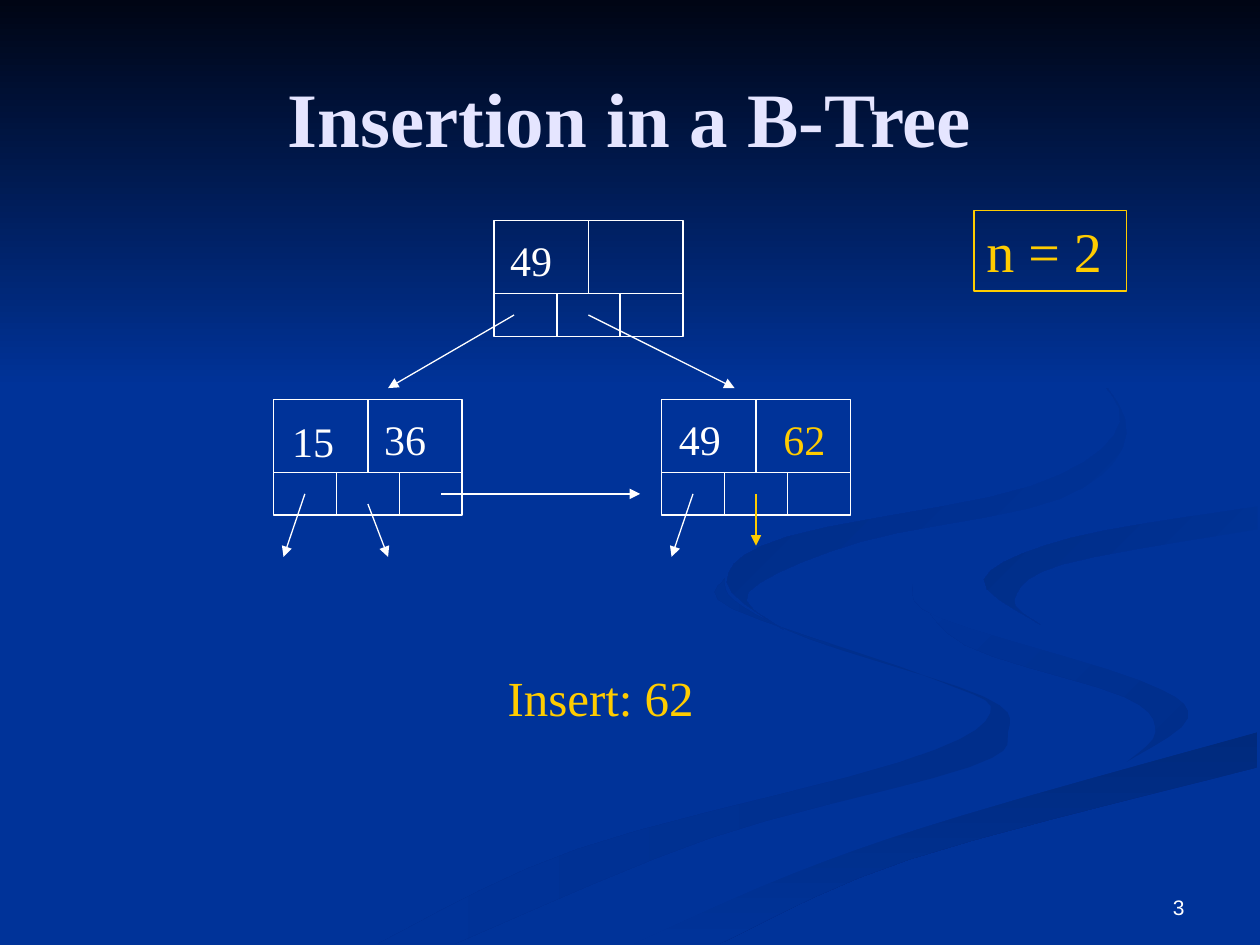
from itertools import pairwise
from lxml.etree import SubElement
from pptx import Presentation
from pptx.dml.color import RGBColor
from pptx.enum.shapes import MSO_CONNECTOR, MSO_SHAPE
from pptx.enum.text import MSO_ANCHOR, PP_ALIGN
from pptx.oxml.ns import qn
from pptx.util import Inches, Pt

COLORS = {
    "blue": "003399", "navy": "000514", "white": "FFFFFF", "gold": "FFCC00", "lavender": "E5E5FF",
    "swirl": "002E8B", "band": "002A7D", "hook": "002D86", "ribbon": "002B82",
}
STEPS = 5

STREAM_OUTER = [(5.75, 4.59), (5.83, 4.77), (6.42, 5.07), (7.81, 5.53), (8, 5.81),
                (7.69, 6.09), (5.64, 6.65), (3.61, 7.49)]
STREAM_INNER = [(3, 7.49), (4.58, 6.74), (7.14, 6.05), (7.86, 5.66), (7.41, 5.39),
                (5.81, 4.83), (5.75, 4.59)]
TURN_OUTER = [(7.24, 4.64), (7.45, 4.9), (9.05, 5.4), (9.43, 5.7), (8.94, 6.05)]
TURN_INNER = [(8.94, 6.05), (9.17, 5.81), (8.92, 5.53), (7.66, 5.12), (7.24, 4.64)]
BAND_TOP = [(9.98, 5.81), (7.64, 6.47), (6.3, 6.93), (5.03, 7.49)]
BAND_BOTTOM = [(5.71, 7.49), (7.22, 6.82), (9.98, 6.09)]
HOOK_OUTER = [(9.98, 4.02), (8.5, 4.27), (7.81, 4.6), (8.26, 4.96)]
HOOK_INNER = [(8.26, 4.96), (8.05, 4.76), (8.43, 4.48), (9.98, 4.2)]
RIBBON_OUTER = [(7.62, 2.33), (8.54, 2.83), (8.94, 3.44), (8.41, 3.96), (6.83, 4.3),
                (5.94, 4.7), (6.22, 5)]
RIBBON_INNER = [(6.22, 5), (5.77, 4.62), (6.25, 4.26), (8.18, 3.86), (8.89, 3.35),
                (8.46, 2.79), (7.62, 2.33)]
FLOW_LEFT = [(8.94, 6.05), (7.04, 6.55), (4.77, 7.49)]
FLOW_RIGHT = [(9.98, 5.38), (9.04, 5.19), (8.26, 4.96)]
FLOW_TOP = [(9.98, 3.87), (7.88, 4.22), (7.24, 4.64)]

SWIRLS = [
    ([STREAM_OUTER, STREAM_INNER], "swirl", "blue", 180),
    ([TURN_OUTER, TURN_INNER], "swirl", "blue", 135),
    ([BAND_TOP, BAND_BOTTOM], "band", "blue", 270),
    ([TURN_OUTER, FLOW_LEFT, BAND_TOP[::-1], FLOW_RIGHT, HOOK_OUTER[::-1], FLOW_TOP], "blue", "blue", 0),
    ([HOOK_OUTER, HOOK_INNER], "blue", "hook", 135),
    ([RIBBON_OUTER, RIBBON_INNER], "blue", "ribbon", 135),
    ([[(0, 0), (10, 0)], [(10, 3.08), (0, 3.08)]], "navy", "blue", 270),
]


def rgb(name):
    return RGBColor.from_string(COLORS[name])


def smooth(edge):
    padded = [edge[0], *edge, edge[-1]]
    curve = []
    for i, (start, end) in enumerate(pairwise(edge)):
        before, after = padded[i], padded[i + 3]
        for step in range(STEPS):
            t = step / STEPS
            curve.append(tuple(
                b + t * (c - a + t * (2 * a - 5 * b + 4 * c - d + t * (3 * (b - c) + d - a))) / 2
                if step else b
                for a, b, c, d in zip(before, start, end, after)))
    return curve + [edge[-1]]


class Painter:
    def __init__(self, slide, font="Times New Roman"):
        self.s = slide
        self.font = font

    def background(self, color):
        fill = self.s.background.fill
        fill.solid()
        fill.fore_color.rgb = rgb(color)

    def swirl(self, edges, start, end, angle):
        pts = [(Inches(x), Inches(y)) for edge in edges for x, y in smooth(edge)]
        fb = self.s.shapes.build_freeform(*pts[0])
        fb.add_line_segments(pts[1:], close=True)
        sp = fb.convert_to_shape()
        sp.shadow.inherit = False
        sp.line.fill.background()
        if start == end:
            sp.fill.solid()
            sp.fill.fore_color.rgb = rgb(start)
            return
        sp.fill.gradient()
        sp.fill.gradient_angle = angle
        for stop, color in zip(sp.fill.gradient_stops, (start, end)):
            stop.color.rgb = rgb(color)

    def text(self, text, x, y, w, h, size, color="white", font=None, bold=False, wrap=False,
             align=PP_ALIGN.LEFT, anchor=MSO_ANCHOR.TOP):
        sp = self.s.shapes.add_textbox(Inches(x), Inches(y), Inches(w), Inches(h))
        tf = sp.text_frame
        tf.word_wrap = wrap
        tf.vertical_anchor = anchor
        tf.text = text
        p = tf.paragraphs[0]
        p.alignment = align
        r = p.runs[0]
        r.font.name = font or self.font
        r.font.size = Pt(size)
        r.font.bold = bold
        r.font.color.rgb = rgb(color)
        return sp

    def line(self, x1, y1, x2, y2, color="white", arrow=False, shapes=None):
        shapes = shapes or self.s.shapes
        cn = shapes.add_connector(MSO_CONNECTOR.STRAIGHT, Inches(x1), Inches(y1), Inches(x2), Inches(y2))
        cn.line.color.rgb = rgb(color)
        cn.line.width = Pt(0.75)
        if arrow:
            SubElement(cn.line._get_or_add_ln(), qn("a:tailEnd"), type="triangle")
        SubElement(cn._element.spPr, qn("a:effectLst"))

    def node(self, x, y, w=1.5, h=0.92, key_h=0.58):
        shapes = self.s.shapes.add_group_shape().shapes
        sp = shapes.add_shape(MSO_SHAPE.RECTANGLE, Inches(x), Inches(y), Inches(w), Inches(h))
        sp.shadow.inherit = False
        sp.fill.background()
        sp.line.color.rgb = rgb("white")
        sp.line.width = Pt(1)
        mid = y + key_h
        self.line(x, mid, x + w, mid, shapes=shapes)
        self.line(x + w / 2, y, x + w / 2, mid, shapes=shapes)
        for i in (1, 2):
            self.line(x + i * w / 3, mid, x + i * w / 3, y + h, shapes=shapes)


def main():
    prs = Presentation()
    prs.slide_width, prs.slide_height = Inches(10), Inches(7.5)
    d = Painter(prs.slides.add_slide(prs.slide_layouts[6]))
    d.background("blue")
    for swirl in SWIRLS:
        d.swirl(*swirl)

    d.text("3", 7.17, 6.83, 2.33, 0.52, 12, font="Arial", wrap=True,
           align=PP_ALIGN.RIGHT, anchor=MSO_ANCHOR.BOTTOM)
    d.text("Insertion in a B-Tree", 0.5, 0.3, 9, 1.25, 44, "lavender", bold=True, wrap=True,
           align=PP_ALIGN.CENTER, anchor=MSO_ANCHOR.MIDDLE)

    for x, y in [(3.92, 1.75), (2.17, 3.17), (5.25, 3.17)]:
        d.node(x, y)
    for key, x, y, color in [("49", 3.95, 1.81, "white"), ("15", 2.22, 3.25, "white"),
                             ("36", 2.95, 3.23, "white"), ("49", 5.29, 3.23, "white"),
                             ("62", 6.12, 3.23, "gold")]:
        d.text(key, x, y, 0.57, 0.5, 24, color)
    for ends in [(4.08, 2.5, 3.08, 3.08), (4.67, 2.5, 5.83, 3.08), (2.42, 3.92, 2.25, 4.42),
                 (2.92, 4, 3.08, 4.42), (5.5, 3.92, 5.33, 4.42), (3.5, 3.92, 5.08, 3.92)]:
        d.line(*ends, arrow=True)
    d.line(6, 3.92, 6, 4.33, "gold", arrow=True)

    order = d.text("n = 2", 7.73, 1.67, 1.21, 0.64, 32, "gold")
    order.line.color.rgb = rgb("gold")
    order.line.width = Pt(0.75)
    d.text("Insert: 62", 3.93, 5.25, 1.94, 0.57, 28, "gold")
    prs.save("out.pptx")


if __name__ == "__main__":
    main()
